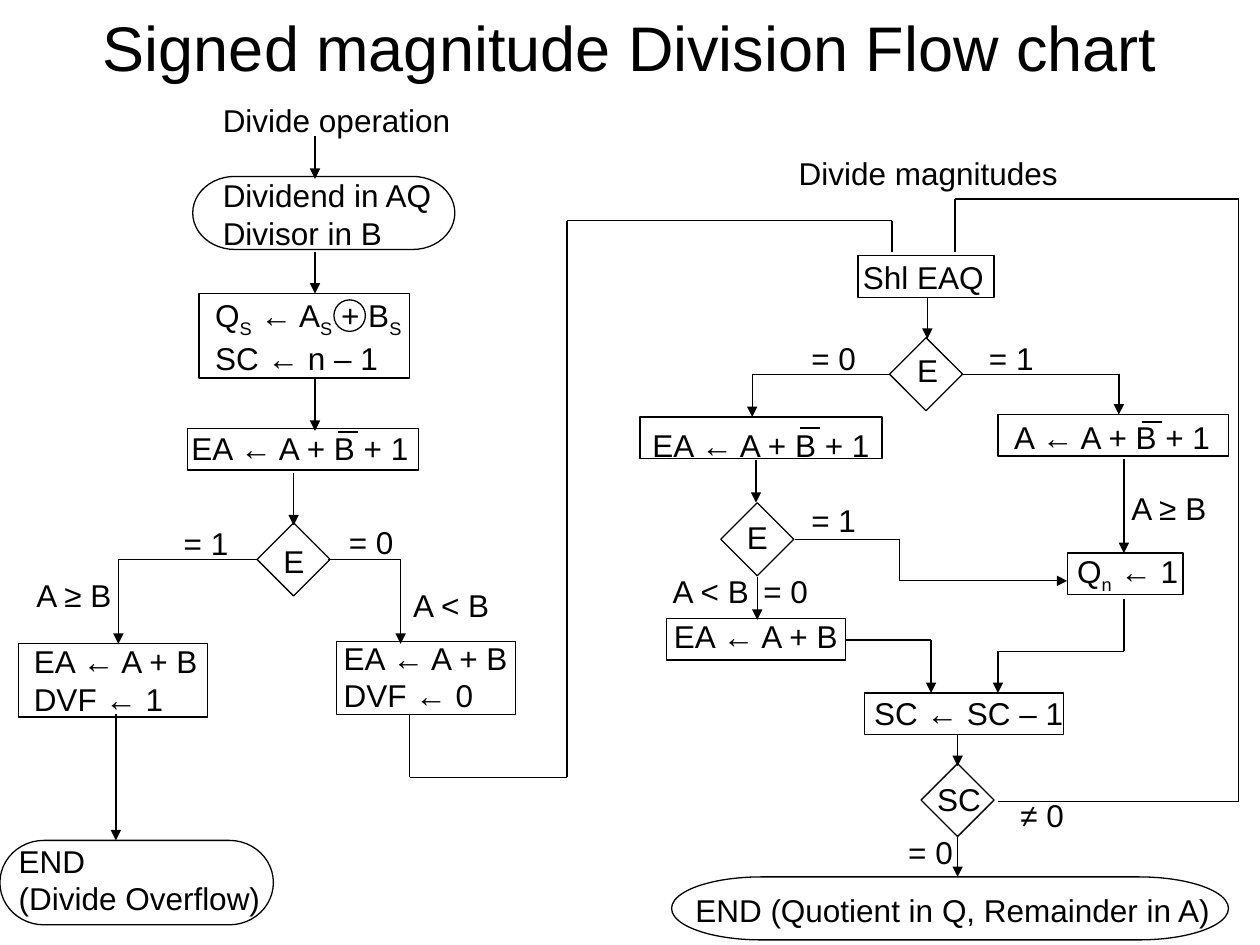
from dataclasses import dataclass
from itertools import pairwise
from typing import Any

from lxml.etree import SubElement
from pptx import Presentation
from pptx.dml.color import RGBColor
from pptx.enum.shapes import MSO_CONNECTOR, MSO_SHAPE
from pptx.enum.text import MSO_ANCHOR, MSO_AUTO_SIZE, PP_ALIGN
from pptx.oxml.ns import qn
from pptx.util import Inches, Pt

COLORS = {"ink": "000000"}
INK = RGBColor.from_string(COLORS["ink"])
TITLE_FONT = {"name": "Arial", "size": Pt(36)}
BODY_FONT = {"name": "Arial", "size": Pt(18)}
# No right margin, so that each line has room to stay whole.
LABEL_FRAME = {"word_wrap": True, "auto_size": MSO_AUTO_SIZE.SHAPE_TO_FIT_TEXT,
               "margin_right": 0}
LINE_WIDTH = 0.75
BAR_WIDTH = 1.16
BAR_LENGTH = 0.16
ROW = 0.33
DIAMOND = 0.58


@dataclass(frozen=True)
class Label:
    """Lines of text; parts between underscores are subscripts."""
    left: float
    top: float
    width: float
    lines: tuple[str, ...]

    @property
    def height(self) -> float:
        return 0.1 + 0.3 * len(self.lines)


@dataclass(frozen=True)
class Node:
    left: float
    top: float
    width: float
    height: float = ROW
    kind: MSO_SHAPE = MSO_SHAPE.RECTANGLE


@dataclass(frozen=True)
class Route:
    points: tuple[tuple[float, float], ...]
    arrow: bool = True


LABELS = (
    Label(1.67, 0.75, 2, ("Divide operation",)),
    Label(1.67, 1.35, 1.86, ("Dividend in AQ", "Divisor in B")),
    Label(1.42, 3.36, 2.03, ("EA ← A + B + 1",)),
    Label(2.15, 4.25, 0.36, ("E",)),
    Label(1.36, 4.11, 0.55, ("= 1",)),
    Label(2.67, 4.1, 0.55, ("= 0",)),
    Label(0.19, 4.52, 0.81, ("A ≥ B",)),
    Label(3.18, 4.6, 0.82, ("A < B",)),
    Label(0.17, 5.05, 1.54, ("EA ← A + B", "DVF ← 1")),
    Label(0.05, 6.63, 2.11, ("END", "(Divide Overflow)")),
    Label(5.42, 7.02, 4.31, ("END (Quotient in Q, Remainder in A)",)),
    Label(6.24, 1.17, 2.25, ("Divide magnitudes",)),
    Label(2.63, 5.02, 1.54, ("EA ← A + B", "DVF ← 0")),
    Label(6.75, 2, 1.16, ("Shl EAQ",)),
    Label(7.95, 3.27, 1.8, ("A ← A + B + 1",)),
    Label(5.25, 4.85, 1.54, ("EA ← A + B",)),
    Label(8.45, 4.33, 1, ("Q_n_ ← 1",)),
    Label(6.84, 5.46, 1.7, ("SC ← SC – 1",)),
    Label(7.34, 6.14, 0.54, ("SC",)),
    Label(8, 6.27, 0.54, ("≠ 0",)),
    Label(7.18, 2.74, 0.36, ("E",)),
    Label(7.75, 2.64, 0.55, ("= 1",)),
    Label(6.34, 2.64, 0.55, ("= 0",)),
    Label(5.08, 3.33, 2.03, ("EA ← A + B + 1",)),
    Label(5.83, 4.06, 0.36, ("E",)),
    Label(6.34, 3.93, 0.55, ("= 1",)),
    Label(5.96, 4.49, 0.55, ("= 0",)),
    Label(5.24, 4.49, 0.82, ("A < B",)),
    Label(8.88, 3.83, 0.81, ("A ≥ B",)),
    Label(7.11, 6.56, 0.55, ("= 0",)),
)

PROCESSES = (
    Node(1.49, 3.4, 1.83),
    Node(0.15, 5.11, 1.5, 0.58),
    Node(2.67, 5.09, 1.42, 0.58),
    Node(6.86, 5.5, 1.58),
    Node(5.29, 4.91, 1.42),
    Node(8.47, 4.39, 0.92),
    Node(7.92, 3.29, 1.83),
    Node(5.08, 3.31, 1.92),
    Node(6.81, 2.03, 1.08),
)
TERMINATORS = tuple(
    Node(*box, kind=MSO_SHAPE.FLOWCHART_TERMINATOR)
    for box in ((1.53, 1.4, 2.08, 0.58), (0, 6.67, 2.17, 0.67), (5.33, 6.96, 4.42, 0.5))
)
DECISIONS = tuple(
    Node(left, top, DIAMOND, DIAMOND, MSO_SHAPE.FLOWCHART_DECISION)
    for left, top in ((2.04, 4.15), (5.72, 3.99), (7.06, 2.68), (7.31, 6.06))
)

SIGN_LABEL = Label(1.61, 2.3, 1.69, ("Q_S_ ← A_S_ + B_S_", "SC ← n – 1"))
SIGN_NODES = (
    Node(1.58, 2.33, 1.67, 0.67),
    Node(2.65, 2.38, 0.25, 0.25, MSO_SHAPE.OVAL),
)

ROUTES = (
    Route(((2.5, 1.08), (2.5, 1.42))),
    Route(((2.5, 2), (2.5, 2.33))),
    Route(((2.5, 3), (2.5, 3.42))),
    Route(((2.33, 3.75), (2.33, 4.17))),
    Route(((0.92, 5.67), (0.92, 6.67))),
    Route(((7.36, 2.36), (7.36, 2.69))),
    Route(((6, 3.65), (6, 3.99))),
    Route(((6.01, 4.58), (6.01, 4.92))),
    Route(((7.6, 5.83), (7.6, 6.08))),
    Route(((7.6, 6.63), (7.6, 6.96))),
    Route(((8.92, 3.64), (8.92, 4.39))),
    Route(((2.04, 4.44), (0.94, 4.44), (0.94, 5.11))),
    Route(((2.6, 4.44), (3.18, 4.44), (3.18, 5.11))),
    Route(((7.63, 2.97), (8.88, 2.97), (8.88, 3.29))),
    Route(((7.06, 2.97), (5.97, 2.97), (5.97, 3.31))),
    Route(((6.31, 4.28), (7.14, 4.28), (7.14, 4.61), (8.47, 4.61))),
    Route(((8.92, 4.75), (8.92, 5.17), (7.92, 5.17), (7.92, 5.5))),
    Route(((6.71, 5.08), (7.39, 5.08), (7.39, 5.5))),
    Route(((3.25, 5.67), (3.25, 6.17), (4.5, 6.17), (4.5, 1.75), (7.08, 1.75), (7.08, 2)),
          arrow=False),
    Route(((7.92, 6.36), (9.83, 6.36), (9.83, 1.58), (7.58, 1.58), (7.58, 2)), arrow=False),
)
COMPLEMENT_BARS = ((6.35, 3.4), (9.06, 3.35), (2.68, 3.43))


def set_format(target: Any, values: dict[str, Any]) -> None:
    for name, value in values.items():
        setattr(target, name, value)


def format_font(font: Any, values: dict[str, Any]) -> None:
    set_format(font, values)
    font.color.rgb = INK


def draw_label(shapes: Any, label: Label) -> None:
    box = shapes.add_textbox(*map(Inches, (label.left, label.top, label.width, label.height)))
    frame = box.text_frame
    set_format(frame, LABEL_FRAME)
    for number, line in enumerate(label.lines):
        paragraph = frame.add_paragraph() if number else frame.paragraphs[0]
        for index, part in enumerate(line.split("_")):
            if not part:
                continue
            run = paragraph.add_run()
            run.text = part
            format_font(run.font, BODY_FONT)
            if index % 2:
                run.font._element.set("baseline", "-25000")


def draw_node(shapes: Any, node: Node) -> None:
    shape = shapes.add_shape(node.kind, *map(Inches, (node.left, node.top, node.width, node.height)))
    shape.shadow.inherit = False
    shape.fill.background()
    shape.line.color.rgb = INK
    shape.line.width = Pt(LINE_WIDTH)


def draw_line(shapes: Any, start: tuple[float, float], end: tuple[float, float],
              width: float = LINE_WIDTH, arrow: bool = False) -> None:
    connector = shapes.add_connector(MSO_CONNECTOR.STRAIGHT, *map(Inches, (*start, *end)))
    connector.line.color.rgb = INK
    connector.line.width = Pt(width)
    if arrow:
        SubElement(connector.line._get_or_add_ln(), qn("a:tailEnd"), type="triangle")
    SubElement(connector._element.spPr, qn("a:effectLst"))


def draw_route(shapes: Any, route: Route) -> None:
    for start, end in pairwise(route.points):
        draw_line(shapes, start, end, arrow=route.arrow and end == route.points[-1])


def place_title(title: Any) -> None:
    set_format(title, {"left": Inches(0.5), "top": Inches(0.08),
                       "width": Inches(9), "height": Inches(0.58)})
    frame = title.text_frame
    frame.text = "Signed magnitude Division Flow chart"
    set_format(frame, {"auto_size": MSO_AUTO_SIZE.NONE, "vertical_anchor": MSO_ANCHOR.MIDDLE})
    frame.paragraphs[0].alignment = PP_ALIGN.CENTER
    format_font(frame.paragraphs[0].runs[0].font, TITLE_FONT)


def main() -> None:
    presentation = Presentation()
    set_format(presentation, {"slide_width": Inches(10), "slide_height": Inches(7.5)})
    slide = presentation.slides.add_slide(presentation.slide_layouts[5])
    shapes = slide.shapes
    place_title(shapes.title)
    for label in LABELS:
        draw_label(shapes, label)
    for node in PROCESSES + TERMINATORS + DECISIONS:
        draw_node(shapes, node)
    for route in ROUTES:
        draw_route(shapes, route)
    sign_group = shapes.add_group_shape().shapes
    draw_label(sign_group, SIGN_LABEL)
    for node in SIGN_NODES:
        draw_node(sign_group, node)
    for left, top in COMPLEMENT_BARS:
        draw_line(shapes, (left, top), (left + BAR_LENGTH, top), BAR_WIDTH)
    presentation.save("out.pptx")


if __name__ == "__main__":
    main()
